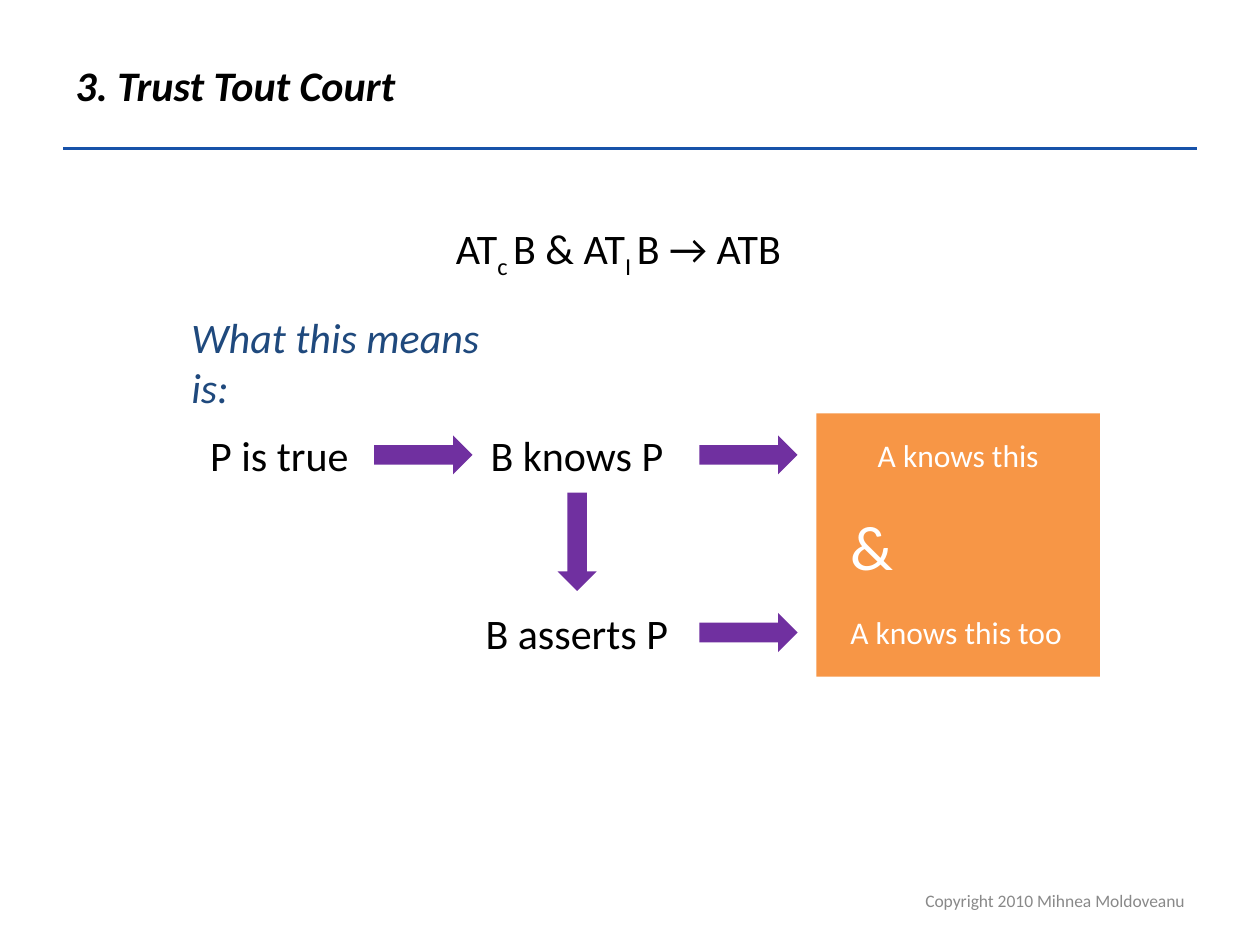
from lxml.etree import SubElement
from pptx import Presentation
from pptx.dml.color import RGBColor
from pptx.enum.shapes import MSO_CONNECTOR, MSO_SHAPE
from pptx.enum.text import MSO_ANCHOR, PP_ALIGN
from pptx.oxml.ns import qn
from pptx.util import Inches, Pt

FONT = "Calibri"
BLACK, WHITE, GREY = "000000", "FFFFFF", "898989"
BLUE, NAVY, ORANGE, PURPLE = "1752A9", "1F497D", "F79646", "7030A0"
COLUMNS, ROWS = 20, 15


def color(value):
    return RGBColor.from_string(value)


class Slide:
    """Style and current slide; lengths are columns and rows of the grid."""

    def __init__(self, deck):
        self.page = deck.slides.add_slide(deck.slide_layouts[6])
        self.column = deck.slide_width / COLUMNS
        self.row = deck.slide_height / ROWS

    def place(self, left, top, width, height):
        return (int(left * self.column), int(top * self.row),
                int(width * self.column), int(height * self.row))

    def add_span(self, para, text, size, ink=BLACK, bold=False, italic=False, subscript=False):
        span = para.add_run()
        span.text = text
        span.font.name, span.font.size = FONT, Pt(size)
        span.font.bold, span.font.italic = bold, italic
        span.font.color.rgb = color(ink)
        if subscript:
            span.font._element.set("baseline", "-25000")

    def text(self, area, content="", size=24, wrap=False, anchor=MSO_ANCHOR.TOP,
             align=PP_ALIGN.LEFT, **style):
        box = self.page.shapes.add_textbox(*self.place(*area))
        frame = box.text_frame
        frame.word_wrap, frame.vertical_anchor = wrap, anchor
        para = frame.paragraphs[0]
        para.alignment = align
        if content:
            self.add_span(para, content, size, **style)
        return frame

    def shape(self, kind, area, fill):
        shape = self.page.shapes.add_shape(kind, *self.place(*area))
        shape.shadow.inherit = False
        shape.fill.solid()
        shape.fill.fore_color.rgb = color(fill)
        shape.line.fill.background()
        return shape

    def arrow(self, center, middle, turn):
        width, length = 0.62, 1.56
        area = (center - width / 2, middle - length / 2, width, length)
        self.shape(MSO_SHAPE.UP_ARROW, area, PURPLE).rotation = turn

    def rule(self, left, right, height, ink, weight):
        x1, y, x2, _ = self.place(left, height, right, 0)
        line = self.page.shapes.add_connector(MSO_CONNECTOR.STRAIGHT, x1, y, x2, y)
        line.line.color.rgb = color(ink)
        line.line.width = Pt(weight)
        SubElement(line._element.spPr, qn("a:effectLst"))


def main():
    deck = Presentation()
    deck.slide_width, deck.slide_height = Inches(10), Inches(7.5)
    slide = Slide(deck)

    # Header and footer
    slide.rule(1, 19, 2.36, BLUE, 2)
    slide.text((1, 0.4, 18, 1.88), "3. Trust Tout Court", wrap=True,
               anchor=MSO_ANCHOR.MIDDLE, bold=True, italic=True)
    slide.text((14.34, 13.9, 4.66, 0.8), "Copyright 2010 Mihnea Moldoveanu", 10, wrap=True,
               anchor=MSO_ANCHOR.MIDDLE, align=PP_ALIGN.RIGHT, ink=GREY)

    # Trust formula
    formula = slide.text((7.04, 3.44, 5.86, 1.12)).paragraphs[0]
    for index, part in enumerate(["AT", "c ", "B & AT", "I ", "B → ATB"]):
        slide.add_span(formula, part, 24, subscript=index % 2 == 1)
    slide.text((2.84, 4.84, 5.7, 1), "What this means is:", ink=NAVY, italic=True)

    # Statements, centred on two rows
    upper, lower = 7.22, 10.04
    truth, belief = 4.44, 9.16
    for label, center, middle, width in [("P is true", truth, upper, 2.6),
                                         ("B knows P", belief, upper, 3.14),
                                         ("B asserts P", belief, lower, 3.3)]:
        slide.text((center - width / 2, middle - 0.5, width, 1), label)

    # What A knows
    knowledge = slide.shape(MSO_SHAPE.RECTANGLE, (12.96, 6.56, 4.5, 4.18), ORANGE)
    frame = knowledge.text_frame
    frame.vertical_anchor, frame.margin_top = MSO_ANCHOR.TOP, Inches(0.18)
    frame.paragraphs[0].alignment = PP_ALIGN.CENTER
    slide.add_span(frame.paragraphs[0], "A knows this", 18, WHITE)
    both = slide.text((13.3, 7.96, 3.76, 3.08), "&", 36, ink=WHITE)
    para = both.add_paragraph()
    para.space_before = Pt(17)
    slide.add_span(para, "A knows this too", 18, WHITE)

    # Arrows
    for center, middle, turn in [(6.72, upper, 90), (11.88, upper, 90), (11.88, lower, 90),
                                 (belief, 8.6, 180)]:
        slide.arrow(center, middle, turn)

    deck.save("out.pptx")


if __name__ == "__main__":
    main()
